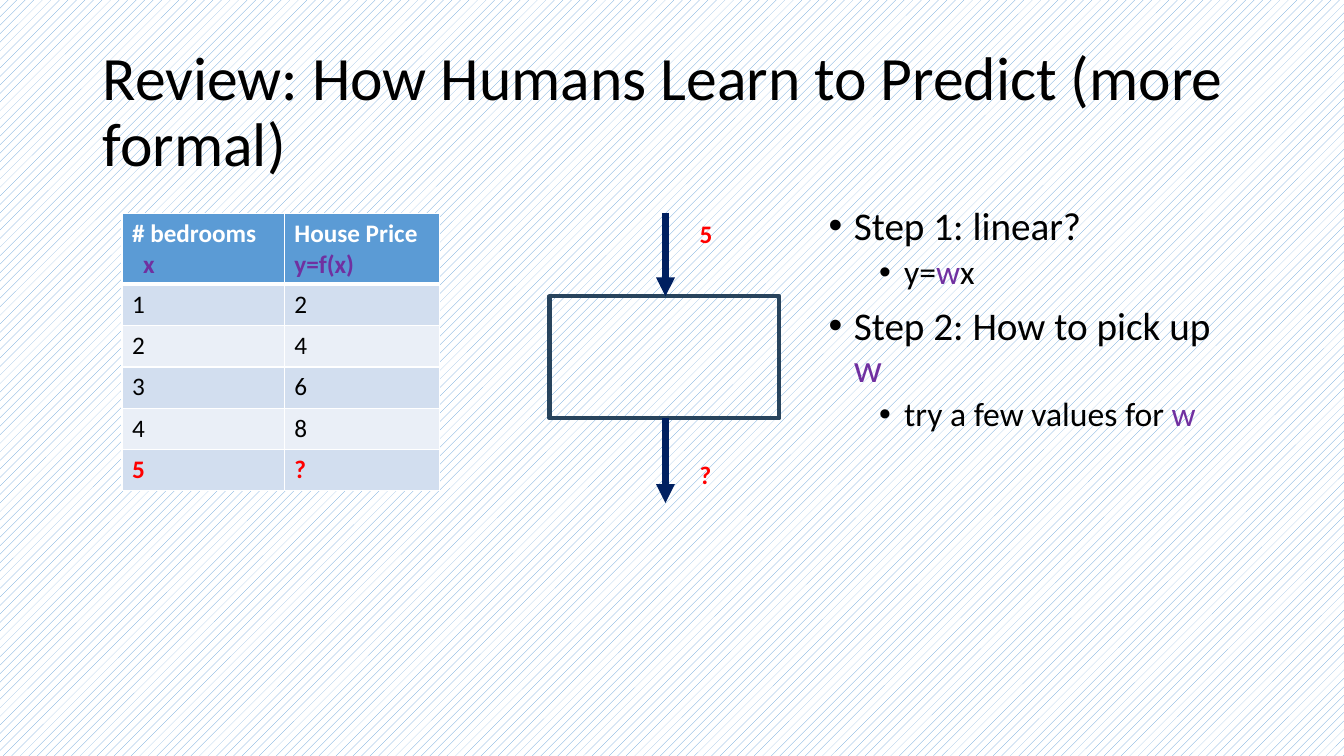
from lxml import etree
from pptx import Presentation
from pptx.dml.color import RGBColor
from pptx.enum.dml import MSO_PATTERN
from pptx.enum.shapes import MSO_CONNECTOR, MSO_SHAPE
from pptx.enum.text import MSO_ANCHOR, PP_ALIGN
from pptx.oxml.ns import qn
from pptx.util import Inches, Pt

STRAIGHT = MSO_CONNECTOR.STRAIGHT
RECTANGLE = MSO_SHAPE.RECTANGLE
DOTTED = MSO_PATTERN.PERCENT_20
MIDDLE = MSO_ANCHOR.MIDDLE
LEFT = PP_ALIGN.LEFT

BLACK = RGBColor(0x00, 0x00, 0x00)
WHITE = RGBColor(0xFF, 0xFF, 0xFF)
RED = RGBColor(0xFF, 0x00, 0x00)
PURPLE = RGBColor(0x70, 0x30, 0xA0)
BLUE = RGBColor(0x5B, 0x9B, 0xD5)
NAVY = RGBColor(0x00, 0x20, 0x60)
SLATE = RGBColor(0x28, 0x44, 0x5D)
BANDS = [RGBColor(0xD2, 0xDE, 0xEF), RGBColor(0xEA, 0xEF, 0xF7)]


def add_text(paragraph, text, size=18, color=BLACK, bold=False):
    run = paragraph.add_run()
    run.text = text
    run.font.name = "Calibri"
    run.font.size = Pt(size)
    run.font.color.rgb = color
    run.font.bold = bold


def style_cell(cell, fill, bottom_width):
    for side, width in (("lnL", 1), ("lnR", 1), ("lnT", 1), ("lnB", bottom_width)):
        border = etree.SubElement(cell._tc.get_or_add_tcPr(), qn(f"a:{side}"), w=str(Pt(width)))
        color = etree.SubElement(border, qn("a:solidFill"))
        etree.SubElement(color, qn("a:srgbClr"), val=str(WHITE))
    cell.fill.solid()
    cell.fill.fore_color.rgb = fill


prs = Presentation()
prs.slide_width = Inches(13.33)
prs.slide_height = Inches(7.5)
slide = prs.slides.add_slide(prs.slide_layouts[5])
shapes = slide.shapes

# Patterned background
background = slide.background.fill
background.patterned()
background.pattern = DOTTED
background.fore_color.rgb = BLUE
background.back_color.rgb = WHITE

# Title
title = shapes.title
title.left, title.top = Inches(0.92), Inches(0.4)
title.width, title.height = Inches(11.5), Inches(1.45)
title.text_frame.word_wrap = True
title.text_frame.vertical_anchor = MIDDLE
heading = title.text_frame.paragraphs[0]
heading.alignment = LEFT
heading.line_spacing = 0.9
add_text(heading, "Review: How Humans Learn to Predict (more formal)", size=44)

# Steps: level and coloured pieces of each bullet
steps = [
    (0, [("Step 1: linear?", BLACK)]),
    (1, [("y=", BLACK), ("w", PURPLE), ("x", BLACK)]),
    (0, [("Step 2: How to pick up ", BLACK), ("w", PURPLE)]),
    (1, [("try a few values for ", BLACK), ("w", PURPLE)]),
]
steps_frame = shapes.add_textbox(Inches(8.12), Inches(2), Inches(4.3), Inches(4.76)).text_frame
steps_frame.word_wrap = True
for index, (level, pieces) in enumerate(steps):
    step = steps_frame.add_paragraph() if index else steps_frame.paragraphs[0]
    step.level = level
    step.line_spacing = 0.9
    if index:
        step.space_before = Pt(5 if level else 10)
    layout = step._p.get_or_add_pPr()
    layout.set("marL", str(Inches(0.25 + 0.5 * level)))
    layout.set("indent", str(Inches(-0.25)))
    etree.SubElement(layout, qn("a:buFont"), typeface="Arial")
    etree.SubElement(layout, qn("a:buChar"), char="•")
    for text, color in pieces:
        add_text(step, text, size=24 if level else 28, color=color)

# Predictor box
predictor = shapes.add_shape(RECTANGLE, Inches(5.45), Inches(2.94), Inches(2.28), Inches(1.21))
predictor.shadow.inherit = False
predictor.fill.background()
predictor.line.color.rgb = SLATE
predictor.line.width = Pt(3)

# Arrows into and out of the box
for start, end in ((2.11, 2.94), (4.15, 4.99)):
    arrow = shapes.add_connector(STRAIGHT, Inches(6.6), Inches(start), Inches(6.6), Inches(end))
    arrow.line.color.rgb = NAVY
    arrow.line.width = Pt(4.5)
    etree.SubElement(arrow.line._get_or_add_ln(), qn("a:tailEnd"), type="triangle")
    etree.SubElement(arrow._element.spPr, qn("a:effectLst"))

# House price table
prices = [("1", "2"), ("2", "4"), ("3", "6"), ("4", "8"), ("5", "?")]
table = shapes.add_table(len(prices) + 1, 2, Inches(1.21), Inches(2.12),
                         Inches(3.15), Inches(2.46)).table
table.columns[0].width = Inches(1.61)
table.columns[1].width = Inches(1.54)
for row in table.rows:
    row.height = Inches(0.41)

bedrooms, price = table.cell(0, 0), table.cell(0, 1)
for header in (bedrooms, price):
    style_cell(header, BLUE, 3)
add_text(bedrooms.text_frame.paragraphs[0], "# bedrooms", color=WHITE, bold=True)
variable = bedrooms.text_frame.add_paragraph()
variable._p.get_or_add_pPr().set("marL", str(Inches(0.11)))
add_text(variable, "x", color=PURPLE, bold=True)
price_label = price.text_frame.paragraphs[0]
add_text(price_label, "House Price ", color=WHITE, bold=True)
add_text(price_label, "y=f(x)", color=PURPLE, bold=True)

for r, values in enumerate(prices):
    unknown = "?" in values
    for c, value in enumerate(values):
        cell = table.cell(r + 1, c)
        style_cell(cell, BANDS[r % 2], 1)
        add_text(cell.text_frame.paragraphs[0], value,
                 color=RED if unknown else BLACK, bold=unknown)

# Input and output labels
for text, top, width in (("5", 2.12, 0.65), ("?", 4.51, 0.77)):
    label = shapes.add_textbox(Inches(6.84), Inches(top), Inches(width), Inches(0.4))
    label.text_frame.word_wrap = True
    add_text(label.text_frame.paragraphs[0], text, color=RED, bold=True)

prs.save("out.pptx")
